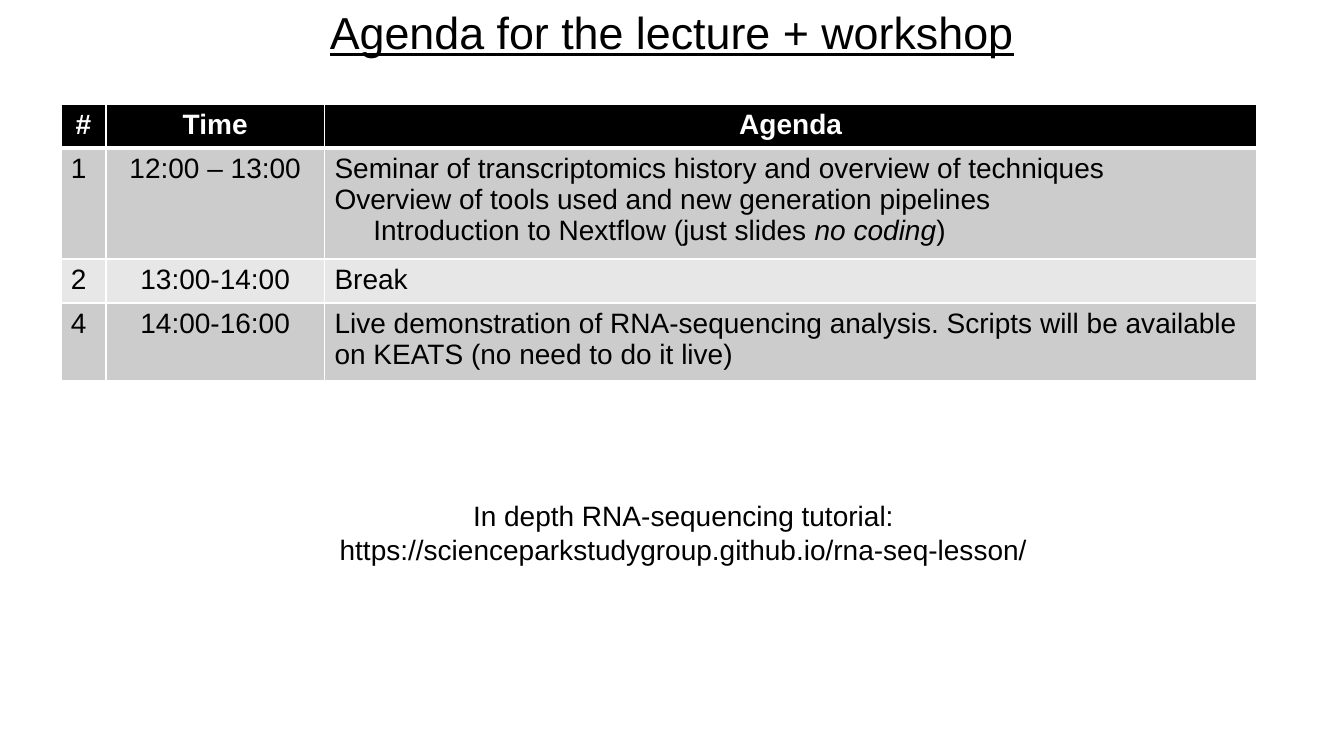
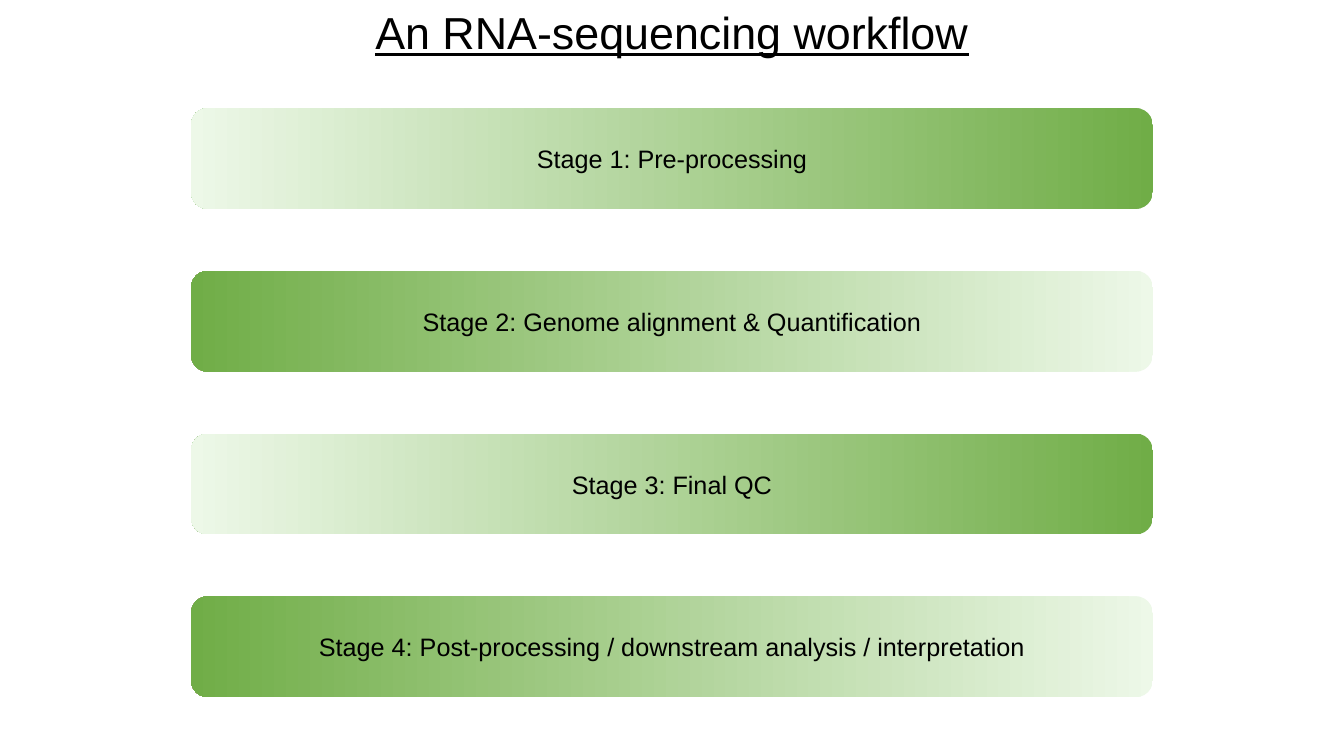
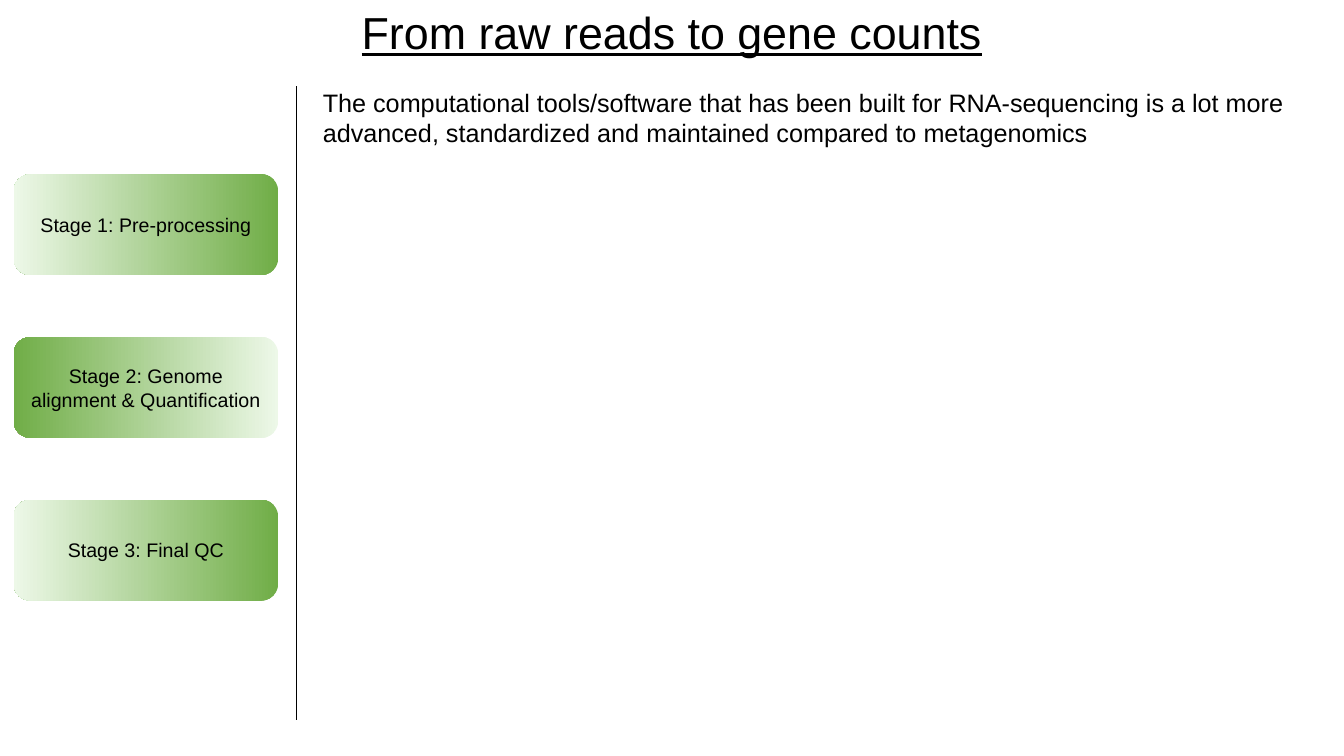
from lxml import etree
from pptx import Presentation
from pptx.dml.color import RGBColor
from pptx.enum.shapes import MSO_CONNECTOR as Connector, MSO_SHAPE as Preset
from pptx.enum.text import MSO_ANCHOR as Anchor, MSO_AUTO_SIZE as AutoSize, PP_ALIGN as Align
from pptx.oxml.ns import qn
from pptx.util import Emu, Pt

# Shared look
FONT = "Arial"
BLACK = RGBColor(0x00, 0x00, 0x00)
WHITE = RGBColor(0xFF, 0xFF, 0xFF)
ROW_DARK = RGBColor(0xCC, 0xCC, 0xCC)
ROW_LIGHT = RGBColor(0xE7, 0xE7, 0xE7)
GREEN = RGBColor(0x70, 0xAD, 0x47)
PALE_GREEN = RGBColor(0xED, 0xF8, 0xE8)

# Shared sizes, 96 px to the inch
PAGE_WIDTH, PAGE_HEIGHT = 1280, 720
TITLE_HEIGHT = 61
STAGE_HEIGHT, STAGE_PITCH = 96, 155

STAGES = [
    "Stage 1: Pre-processing",
    "Stage 2: Genome alignment & Quantification",
    "Stage 3: Final QC",
    "Stage 4: Post-processing / downstream analysis / interpretation",
]

# Each cell is a list of paragraphs; a paragraph is a list of spans
AGENDA = [
    [[["#"]], [["Time"]], [["Agenda"]]],
    [[["1"]], [["12:00 – 13:00"]], [
        ["Seminar of transcriptomics history and overview of techniques"],
        ["Overview of tools used and new generation pipelines"],
        ["Introduction to Nextflow (just slides ", ("no coding", True), ")"],
    ]],
    [[["2"]], [["13:00-14:00"]], [["Break"]]],
    [[["4"]], [["14:00-16:00"]], [[
        "Live demonstration of RNA-sequencing analysis. Scripts will be "
        "available on KEATS (no need to do it live)"
    ]]],
]
AGENDA_COLUMNS = [43, 208, 888]
AGENDA_ROWS = [42, 105, 42, 73]


def px(length):
    return Emu(length * 9525)


def write(frame, paragraphs, size, align=Align.LEFT, color=BLACK, bold=False, underline=False):
    """Fill a text frame; a span is plain text or a pair (text, italic)."""
    frame.word_wrap = True
    for index, spans in enumerate(paragraphs):
        para = frame.paragraphs[0] if index == 0 else frame.add_paragraph()
        para.alignment = align
        for span in spans:
            text, italic = (span, False) if isinstance(span, str) else span
            run = para.add_run()
            run.text = text
            font = run.font
            font.name, font.size, font.color.rgb = FONT, Pt(size), color
            font.bold, font.italic, font.underline = bold, italic, underline


def add_text(page, left, top, width, height, paragraphs, size, **style):
    box = page.shapes.add_textbox(px(left), px(top), px(width), px(height))
    write(box.text_frame, paragraphs, size, **style)
    box.text_frame.auto_size = AutoSize.SHAPE_TO_FIT_TEXT


def add_page(deck, title):
    page = deck.slides.add_slide(deck.slide_layouts[6])
    add_text(page, 0, 0, PAGE_WIDTH, TITLE_HEIGHT, [[title]], 32,
             align=Align.CENTER, underline=True)
    return page


def add_stages(page, labels, left, top, width, size):
    """Stack of rounded bars whose gradient changes direction each time."""
    for index, label in enumerate(labels):
        bar = page.shapes.add_shape(Preset.ROUNDED_RECTANGLE, px(left),
                                    px(top + index * STAGE_PITCH), px(width), px(STAGE_HEIGHT))
        bar.shadow.inherit = False
        bar.line.fill.background()
        bar.fill.gradient()
        bar.fill.gradient_angle = 180
        colors = (PALE_GREEN, GREEN) if index % 2 else (GREEN, PALE_GREEN)
        for stop, color in zip(bar.fill.gradient_stops, colors):
            stop.color.rgb = color
        bar.text_frame.vertical_anchor = Anchor.MIDDLE
        write(bar.text_frame, [[label]], size, align=Align.CENTER)


def set_borders(cell, bottom_width):
    properties = cell._tc.get_or_add_tcPr()
    for side, width in (("L", 1), ("R", 1), ("T", 1), ("B", bottom_width)):
        line = etree.SubElement(properties, qn(f"a:ln{side}"), w=str(Pt(width)))
        fill = etree.SubElement(line, qn("a:solidFill"))
        etree.SubElement(fill, qn("a:srgbClr"), val=str(WHITE))


def add_agenda(page, left, top):
    frame = page.shapes.add_table(len(AGENDA), len(AGENDA_COLUMNS), px(left), px(top),
                                  px(sum(AGENDA_COLUMNS)), px(sum(AGENDA_ROWS)))
    table = frame.table
    for column, width in zip(table.columns, AGENDA_COLUMNS):
        column.width = px(width)
    for row, height in zip(table.rows, AGENDA_ROWS):
        row.height = px(height)
    for row_index, contents in enumerate(AGENDA):
        header = row_index == 0
        background = BLACK if header else ROW_DARK if row_index % 2 else ROW_LIGHT
        for column_index, paragraphs in enumerate(contents):
            cell = table.cell(row_index, column_index)
            # The line under the header is thick on both sides of the edge
            set_borders(cell, 3 if header else 1)
            if row_index == 1:
                cell._tc.tcPr.find(qn("a:lnT")).set("w", str(Pt(3)))
            cell.fill.solid()
            cell.fill.fore_color.rgb = background
            centred = header or column_index == 1
            write(cell.text_frame, paragraphs, 20,
                  align=Align.CENTER if centred else Align.LEFT,
                  color=WHITE if header else BLACK, bold=header)
    # Indent the sub-item of the first session
    sub_item = table.cell(1, 2).text_frame.paragraphs[-1]
    sub_item._p.get_or_add_pPr().set("marL", str(px(37)))


def add_divider(page, left, top, bottom):
    line = page.shapes.add_connector(Connector.STRAIGHT, px(left), px(top), px(left), px(bottom))
    line.line.color.rgb = BLACK
    line.line.width = Pt(0.5)
    etree.SubElement(line._element.spPr, qn("a:effectLst"))


def main():
    deck = Presentation()
    deck.slide_width, deck.slide_height = px(PAGE_WIDTH), px(PAGE_HEIGHT)

    # Agenda
    page = add_page(deck, "Agenda for the lecture + workshop")
    add_agenda(page, 58, 99)
    add_text(page, 261, 470, 780, 74, [
        ["In depth RNA-sequencing tutorial:"],
        ["https://scienceparkstudygroup.github.io/rna-seq-lesson/"],
    ], 20, align=Align.CENTER)

    # Workflow
    page = add_page(deck, "An RNA-sequencing workflow")
    add_stages(page, STAGES, 182, 103, 916, 18)

    # Reads to counts
    page = add_page(deck, "From raw reads to gene counts")
    add_stages(page, STAGES[:3], 13, 166, 252, 14)
    add_divider(page, 282, 82, 686)
    add_text(page, 298, 78, 982, 68, [[
        "The computational tools/software that has been built for RNA-sequencing is a lot "
        "more advanced, standardized and maintained compared to metagenomics"
    ]], 18)

    deck.save("out.pptx")


if __name__ == "__main__":
    main()
